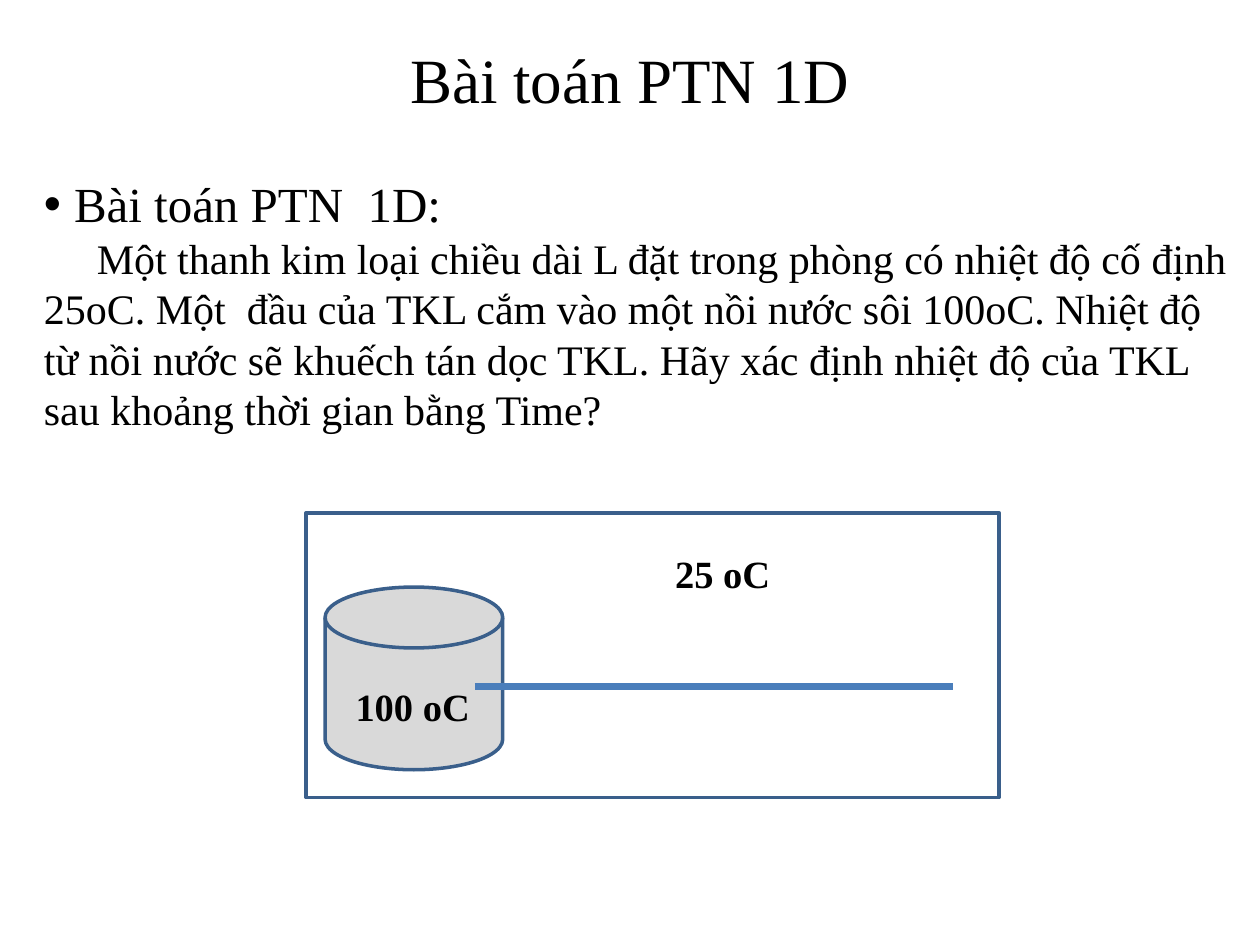
from dataclasses import dataclass

from lxml import etree
from pptx import Presentation, util as u
from pptx.dml.color import RGBColor
from pptx.enum import shapes, text
from pptx.oxml.ns import qn


@dataclass(frozen=True)
class Theme:
    font: str = "Times New Roman"
    ink: str = "000000"
    edge: str = "3A5F8B"
    rod: str = "4A7EBB"
    pot: str = "D9D9D9"
    title: int = 36
    head: int = 28
    body: int = 24
    label: int = 22


THEME = Theme()
WIDTH, HEIGHT = u.Inches(10), u.Inches(7.5)


def place(x, y):
    """Turn percent shares of the slide into lengths."""
    return round(WIDTH * x / 100), round(HEIGHT * y / 100)


def rgb(code):
    return RGBColor.from_string(code)


def frame(slide, x, y, w, h, anchor=text.MSO_ANCHOR.TOP):
    box = slide.shapes.add_textbox(*place(x, y), *place(w, h))
    tf = box.text_frame
    tf.word_wrap = True
    tf.vertical_anchor = anchor
    return tf


def write(para, words, size, bold=False, align=text.PP_ALIGN.LEFT):
    para.alignment = align
    run = para.add_run()
    run.text = words
    font = run.font
    font.name, font.size, font.bold = THEME.font, u.Pt(size), bold
    font.color.rgb = rgb(THEME.ink)


def indent(para, left, first):
    props = para._p.get_or_add_pPr()
    props.set("marL", str(u.Inches(left)))
    props.set("indent", str(u.Inches(first)))
    return props


def bullet(para):
    props = indent(para, 0.24, -0.24)
    etree.SubElement(props, qn("a:buFont")).set("typeface", "Arial")
    etree.SubElement(props, qn("a:buChar")).set("char", "•")


def solid(slide, kind, x, y, w, h, fill=None):
    """Add an outlined shape, left hollow when no fill is given."""
    shape = slide.shapes.add_shape(kind, *place(x, y), *place(w, h))
    shape.shadow.inherit = False
    if fill:
        shape.fill.solid()
        shape.fill.fore_color.rgb = rgb(fill)
    else:
        shape.fill.background()
    shape.line.color.rgb = rgb(THEME.edge)
    shape.line.width = u.Pt(2)


def rod(slide, x, y, end):
    line = slide.shapes.add_connector(
        shapes.MSO_CONNECTOR.STRAIGHT, *place(x, y), *place(end, y))
    line.line.color.rgb = rgb(THEME.rod)
    line.line.width = u.Pt(4)
    etree.SubElement(line._element.spPr, qn("a:effectLst"))


def label(slide, x, y, words):
    tf = frame(slide, x, y, 11.1, 6.13)
    tf.word_wrap = False
    write(tf.paragraphs[0], words, THEME.label, bold=True,
          align=text.PP_ALIGN.CENTER)


def problem(slide):
    tf = frame(slide, 2.5, 17.73, 96, 76.67)
    head = tf.paragraphs[0]
    bullet(head)
    write(head, "Bài toán PTN  1D:", THEME.head)
    body = tf.add_paragraph()
    indent(body, 0, 0.42)
    write(body, "Một thanh kim loại chiều dài L đặt trong phòng có nhiệt độ "
          "cố định 25oC. Một  đầu của TKL cắm vào một nồi nước sôi 100oC. "
          "Nhiệt độ từ nồi nước sẽ khuếch tán dọc TKL. Hãy xác định nhiệt độ "
          "của TKL sau khoảng thời gian bằng Time?", THEME.body)


def room(slide):
    kinds = shapes.MSO_SHAPE
    solid(slide, kinds.FLOWCHART_MAGNETIC_DISK, 25.8, 62.13, 14.1, 19.33,
          fill=THEME.pot)
    rod(slide, 37.7, 72.67, 75.6)
    solid(slide, kinds.RECTANGLE, 24.3, 54.27, 55, 30.13)
    label(slide, 27.2, 71.6, "100 oC")
    label(slide, 51.8, 57.6, "25 oC")


def main():
    deck = Presentation()
    deck.slide_width, deck.slide_height = WIDTH, HEIGHT
    slide = deck.slides.add_slide(deck.slide_layouts[6])
    title = frame(slide, 5, 1.07, 90, 14.4, text.MSO_ANCHOR.MIDDLE)
    write(title.paragraphs[0], "Bài toán PTN 1D", THEME.title,
          align=text.PP_ALIGN.CENTER)
    problem(slide)
    room(slide)
    deck.save("out.pptx")


if __name__ == "__main__":
    main()
